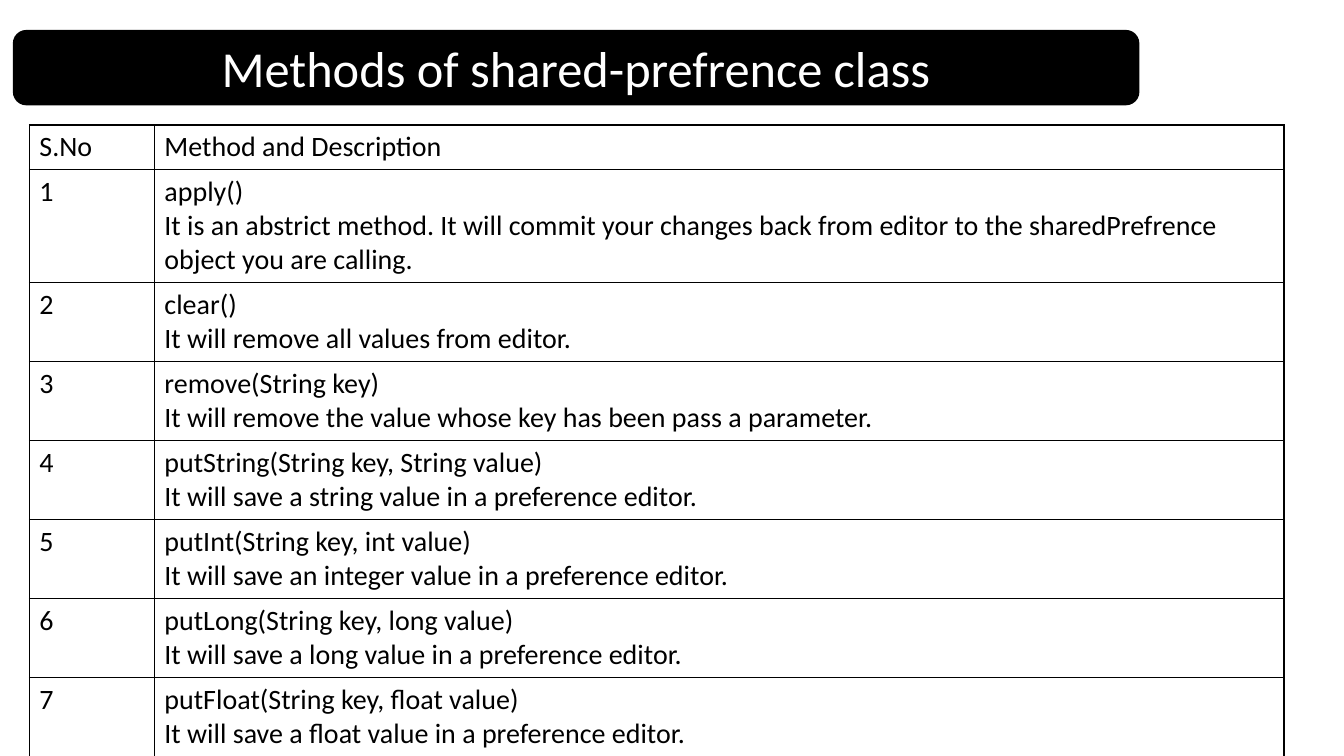
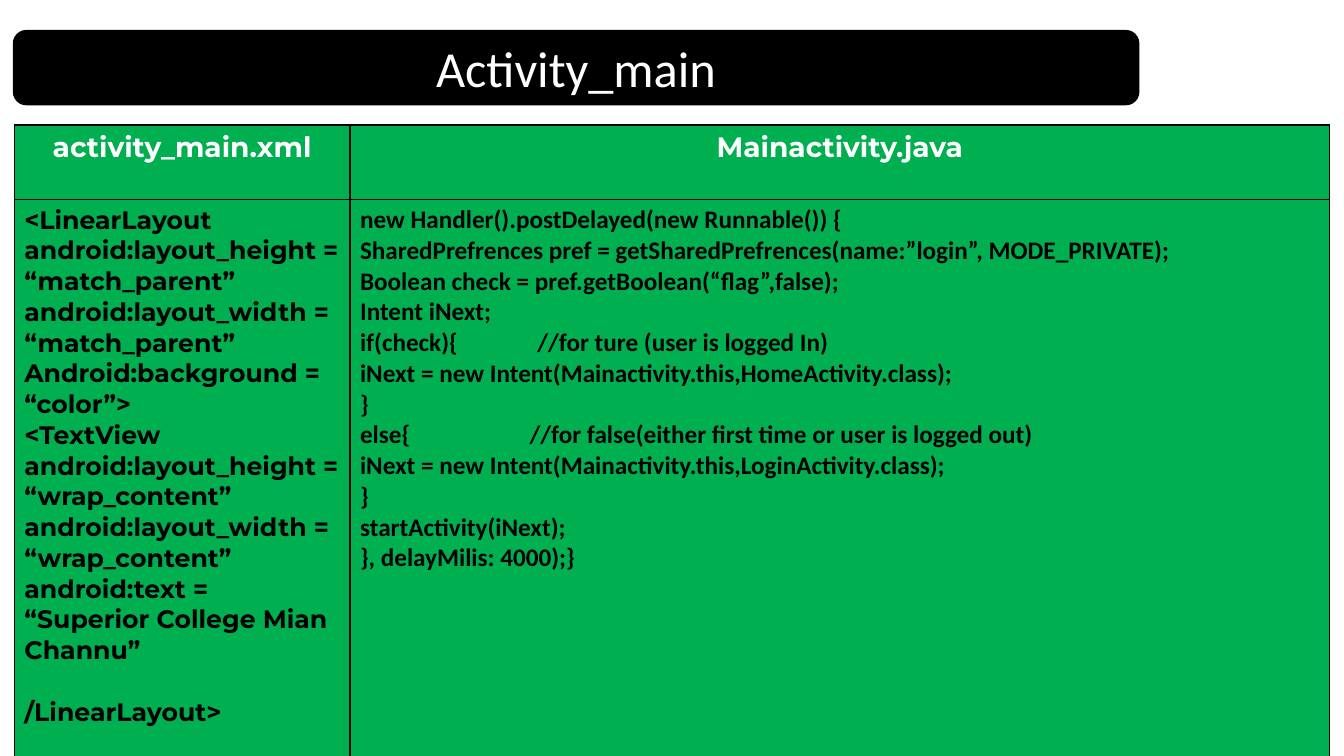
from dataclasses import dataclass

import lxml.etree
import pptx
import pptx.dml.color
import pptx.enum.shapes
import pptx.enum.text
import pptx.oxml.ns
import pptx.presentation
import pptx.slide
import pptx.table
import pptx.util

Cm = pptx.util.Cm
Pt = pptx.util.Pt
ALIGN = pptx.enum.text.PP_ALIGN

BLACK = "000000"
WHITE = "FFFFFF"
GREEN = "00B050"
BODY_FONT = "Calibri"
CODE_FONT = "Montserrat"
TABLE_TOP = 3.15


@dataclass(frozen=True)
class TextStyle:
    size: float
    font: str = BODY_FONT
    color: str = BLACK
    bold: bool = False
    align: ALIGN = ALIGN.LEFT


@dataclass(frozen=True)
class Cell:
    lines: tuple[str, ...]
    style: TextStyle
    fill: str = WHITE
    gap_before_last: float = 0


@dataclass(frozen=True)
class Grid:
    left: float
    widths: tuple[float, ...]
    heights: tuple[float, ...]
    rows: list[tuple[Cell, ...]]


TITLE = TextStyle(36, color=WHITE, align=ALIGN.CENTER)
METHOD = TextStyle(20)
FILE_NAME = TextStyle(20, CODE_FONT, WHITE, True, ALIGN.CENTER)
XML_CODE = TextStyle(18, CODE_FONT, bold=True)
JAVA_CODE = TextStyle(18, bold=True)

METHODS = [
    ("apply()", "It is an abstrict method. It will commit your changes back from editor "
                "to the sharedPrefrence object you are calling."),
    ("clear()", "It will remove all values from editor."),
    ("remove(String key)", "It will remove the value whose key has been pass a parameter."),
    ("putString(String key, String value)", "It will save a string value in a preference editor."),
    ("putInt(String key, int value)", "It will save an integer value in a preference editor."),
    ("putLong(String key, long value)", "It will save a long value in a preference editor."),
    ("putFloat(String key, float value)", "It will save a float value in a preference editor."),
]

LAYOUT_LINES = (
    "<LinearLayout",
    "android:layout_height = “match_parent”",
    "android:layout_width = “match_parent”",
    "Android:background = “color”>",
    "<TextView",
    "android:layout_height = “wrap_content”",
    "android:layout_width = “wrap_content”",
    "android:text = “Superior College Mian Channu”",
    "/LinearLayout>",
)

ACTIVITY_LINES = (
    "new Handler().postDelayed(new Runnable()) {",
    "SharedPrefrences pref = getSharedPrefrences(name:”login”, MODE_PRIVATE);",
    "Boolean check = pref.getBoolean(“flag”,false);",
    "Intent iNext;",
    "if(check){              //for ture (user is logged In)",
    "iNext = new Intent(Mainactivity.this,HomeActivity.class);",
    "}",
    "else{                     //for false(either first time or user is logged out)",
    "iNext = new Intent(Mainactivity.this,LoginActivity.class);",
    "}",
    "startActivity(iNext);",
    "}, delayMilis: 4000);}",
)


def rgb(color: str) -> pptx.dml.color.RGBColor:
    return pptx.dml.color.RGBColor.from_string(color)


def write_lines(frame, lines: tuple[str, ...], style: TextStyle) -> None:
    for index, line in enumerate(lines):
        paragraph = frame.add_paragraph() if index else frame.paragraphs[0]
        paragraph.alignment = style.align
        run = paragraph.add_run()
        run.text = line
        run.font.size = Pt(style.size)
        run.font.name = style.font
        run.font.bold = style.bold
        run.font.color.rgb = rgb(style.color)


def add_borders(cell: pptx.table._Cell, color: str = BLACK, width: float = 1) -> None:
    qn = pptx.oxml.ns.qn
    properties = cell._tc.get_or_add_tcPr()
    for position, side in enumerate(("a:lnL", "a:lnR", "a:lnT", "a:lnB")):
        line = lxml.etree.Element(qn(side), w=str(Pt(width)))
        fill = lxml.etree.SubElement(line, qn("a:solidFill"))
        lxml.etree.SubElement(fill, qn("a:srgbClr"), val=color)
        properties.insert(position, line)


def add_title_slide(presentation: pptx.presentation.Presentation, title: str) -> pptx.slide.Slide:
    slide = presentation.slides.add_slide(presentation.slide_layouts[6])
    band = slide.shapes.add_shape(
        pptx.enum.shapes.MSO_SHAPE.ROUNDED_RECTANGLE, Cm(0.36), Cm(0.79), Cm(28.32), Cm(1.83)
    )
    band.shadow.inherit = False
    band.fill.solid()
    band.fill.fore_color.rgb = rgb(BLACK)
    band.line.color.rgb = rgb(BLACK)
    band.line.width = Pt(2)
    band.text_frame.word_wrap = True
    band.text_frame.vertical_anchor = pptx.enum.text.MSO_ANCHOR.MIDDLE
    write_lines(band.text_frame, (title,), TITLE)
    return slide


def add_grid(slide: pptx.slide.Slide, grid: Grid) -> None:
    table = slide.shapes.add_table(
        len(grid.heights), len(grid.widths), Cm(grid.left), Cm(TABLE_TOP),
        Cm(sum(grid.widths)), Cm(sum(grid.heights)),
    ).table
    table.first_row = False
    table.horz_banding = False
    for column, width in zip(table.columns, grid.widths):
        column.width = Cm(width)
    for row, height, contents in zip(table.rows, grid.heights, grid.rows):
        row.height = Cm(height)
        for cell, content in zip(row.cells, contents):
            cell.fill.solid()
            cell.fill.fore_color.rgb = rgb(content.fill)
            add_borders(cell)
            write_lines(cell.text_frame, content.lines, content.style)
            if content.gap_before_last:
                cell.text_frame.paragraphs[-1].space_before = Pt(content.gap_before_last)


def methods_grid() -> Grid:
    rows = [(Cell(("S.No",), METHOD), Cell(("Method and Description",), METHOD))]
    for number, method in enumerate(METHODS, start=1):
        rows.append((Cell((str(number),), METHOD), Cell(method, METHOD)))
    heights = (1.12, 2.84) + (1.99,) * (len(METHODS) - 1)
    return Grid(0.74, (3.15, 28.47), heights, rows)


def code_grid() -> Grid:
    rows = [
        (Cell(("activity_main.xml",), FILE_NAME, GREEN),
         Cell(("Mainactivity.java",), FILE_NAME, GREEN)),
        (Cell(LAYOUT_LINES, XML_CODE, GREEN, gap_before_last=22),
         Cell(ACTIVITY_LINES, JAVA_CODE, GREEN)),
    ]
    return Grid(0.36, (8.46, 24.69), (1.88, 14.1), rows)


def main() -> None:
    presentation = pptx.Presentation()
    presentation.slide_width = Cm(33.87)
    presentation.slide_height = Cm(19.05)
    add_grid(add_title_slide(presentation, "Methods of shared-prefrence class"), methods_grid())
    add_grid(add_title_slide(presentation, "Activity_main"), code_grid())
    presentation.save("out.pptx")


if __name__ == "__main__":
    main()
